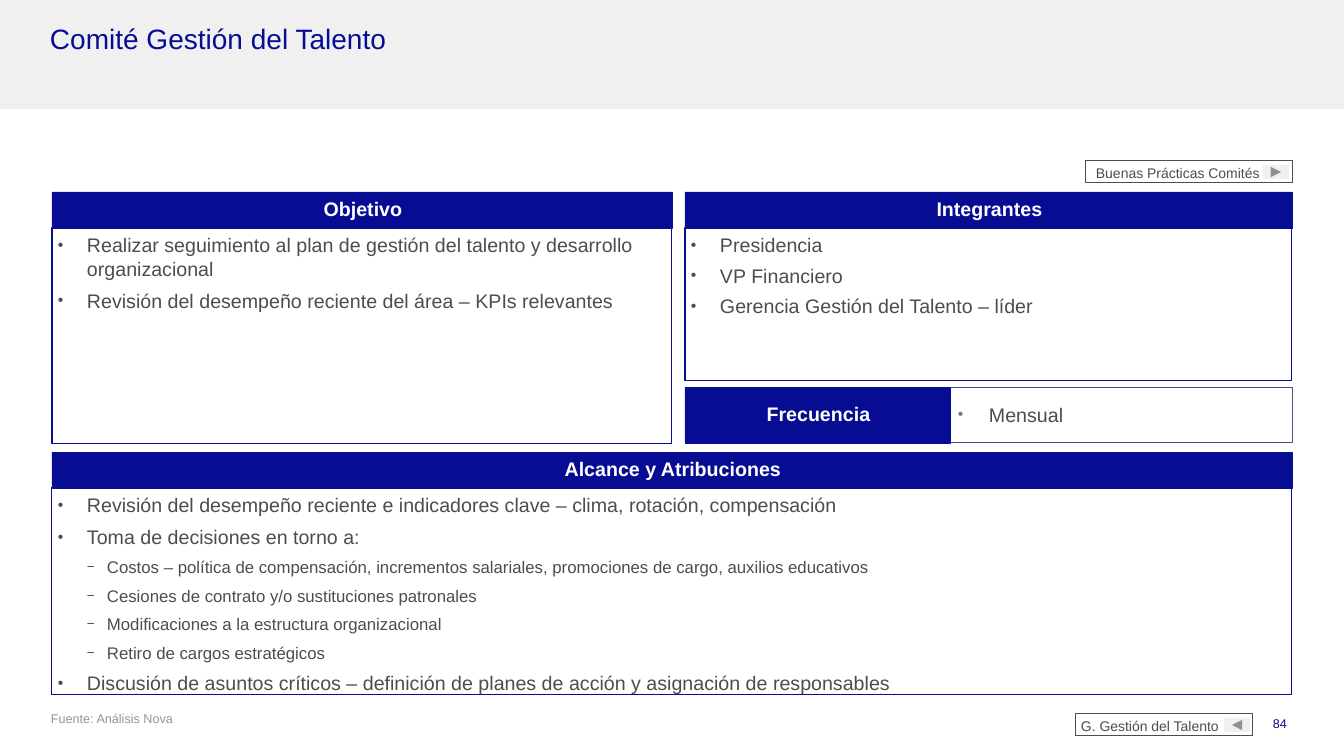
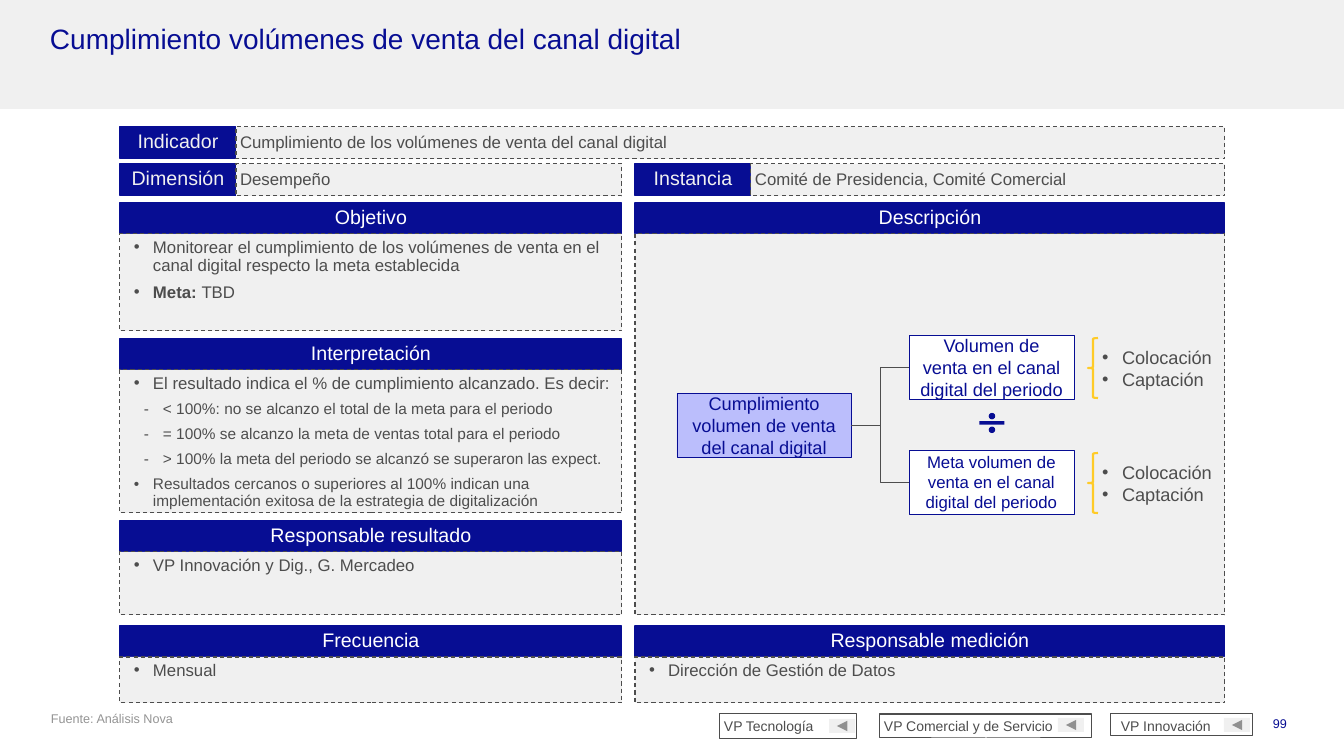
from lxml import etree
from pptx import Presentation
from pptx.dml.color import RGBColor
from pptx.enum.dml import MSO_LINE
from pptx.enum.shapes import MSO_CONNECTOR, MSO_SHAPE
from pptx.enum.text import MSO_ANCHOR, PP_ALIGN
from pptx.oxml.ns import qn
from pptx.util import Emu, Pt

RECT, BRACE, DIVIDE = MSO_SHAPE.RECTANGLE, MSO_SHAPE.RIGHT_BRACE, MSO_SHAPE.MATH_DIVIDE
NEXT = MSO_SHAPE.ACTION_BUTTON_FORWARD_OR_NEXT
ELBOW, DASH = MSO_CONNECTOR.ELBOW, MSO_LINE.DASH
TOP, MIDDLE = MSO_ANCHOR.TOP, MSO_ANCHOR.MIDDLE
CENTER, RIGHT = PP_ALIGN.CENTER, PP_ALIGN.RIGHT
PX = 914400 / 100.8

# Theme: colours, then text styles (sizes, spacing and gaps in points, indents in px)
NAVY, GREY, TEXT, WHITE = "070D93", "F0F0F0", "4D4D4D", "FFFFFF"
MUTED, BULLET, LILAC, YELLOW, SLATE = "949494", "787878", "BBBEFC", "FFCB27", "42508E"
TIGHT = dict(line_spacing=0.9, space_before=Pt(3), space_after=Pt(3))
HEAD = dict(size=14, color=WHITE, para=dict(TIGHT, alignment=CENTER))
ITEM = dict(size=14, color=TEXT, para=dict(space_before=Pt(6)),
            bullet="•", indent=(29, -29), scale=80)
POINT = dict(size=12, color=TEXT, para=TIGHT, bullet="•", indent=(29, -19))
TERM = dict(size=13, color=NAVY, para=dict(alignment=CENTER))
T = dict(
    font="Arial",
    title=dict(size=20, color=NAVY, para=TIGHT),
    number=dict(size=9, color=NAVY, para=dict(alignment=RIGHT)),
    source=dict(size=9, color=MUTED),
    nav=dict(size=10, color=TEXT, para=TIGHT),
    bold_head=dict(HEAD, bold=True, para=dict(line_spacing=0.9, alignment=CENTER)),
    head=HEAD,
    label=dict(HEAD, color=GREY),
    value=dict(size=12, color=TEXT, para=TIGHT),
    item=ITEM,
    close_item=dict(ITEM, para=dict(space_before=Pt(5))),
    sub_item=dict(ITEM, size=12, bullet="−", indent=(49, -20)),
    frequency=dict(ITEM, para=dict(space_before=Pt(1)), indent=(31, -31), bullet_color=BULLET),
    point=POINT,
    small_point=dict(POINT, size=11),
    sub_point=dict(POINT, size=11, bullet="-", indent=(39, -19)),
    term=TERM,
    small_term=dict(TERM, size=12),
    factor=dict(size=13, color=TEXT, bullet="•", indent=(20, -20)),
)


def write(sp, paras, anchor=TOP, ins=(10, 5, 10, 5)):
    """Fill a shape with (style, text) paragraphs; **marks** set bold runs."""
    tf = sp.text_frame
    tf.word_wrap, tf.vertical_anchor = True, anchor
    for side, gap in zip(("left", "top", "right", "bottom"), ins):
        setattr(tf, "margin_" + side, Emu(round(gap * PX)))
    for i, (name, text) in enumerate(paras):
        style = T[name]
        p = tf.add_paragraph() if i else tf.paragraphs[0]
        for key, value in {"alignment": PP_ALIGN.LEFT, **style.get("para", {})}.items():
            setattr(p, key, value)
        for n, part in enumerate(text.split("**")):
            if not part:
                continue
            r = p.add_run()
            r.text = part
            for key, value in dict(name=T["font"], size=Pt(style["size"]),
                                   bold=style.get("bold", n % 2 == 1)).items():
                setattr(r.font, key, value)
            r.font.color.rgb = RGBColor.from_string(style["color"])
        if "bullet" in style:
            pPr = p._p.get_or_add_pPr()
            for key, gap in zip(("marL", "indent"), style["indent"]):
                pPr.set(key, str(round(gap * PX)))
            clr = etree.SubElement(pPr, qn("a:buClr"))
            etree.SubElement(clr, qn("a:srgbClr")).set("val", style.get("bullet_color", TEXT))
            for tag, key, value in (("a:buSzPct", "val", str(style.get("scale", 100) * 1000)),
                                    ("a:buFont", "typeface", T["font"]),
                                    ("a:buChar", "char", style["bullet"])):
                etree.SubElement(pPr, qn(tag)).set(key, value)


def box(s, at, fill=None, line=None, width=0.75, dash=None, kind=RECT, rotation=0):
    """Add a preset shape at (left, top, width, height) in px."""
    sp = s.shapes.add_shape(kind, *(Emu(round(v * PX)) for v in at))
    sp.shadow.inherit = False
    sp.rotation = rotation
    if fill:
        sp.fill.solid()
        sp.fill.fore_color.rgb = RGBColor.from_string(fill)
    else:
        sp.fill.background()
    if line:
        sp.line.color.rgb = RGBColor.from_string(line)
        sp.line.width = Pt(width)
        if dash:
            sp.line.dash_style = dash
    else:
        sp.line.fill.background()
    return sp


prs = Presentation()
prs.slide_width, prs.slide_height = Emu(round(1344 * PX)), Emu(round(756 * PX))
blank = prs.slide_layouts[6]

# Shared frame: title, source, page number and navigation buttons
# Each button: frame, text inset, arrow left and top, arrow rotation
pages = [
    ("Comité Gestión del Talento", "84", [
        ("G. Gestión del Talento", (1076, 714, 177, 22), 5, (1224, 718), 180),
        ("Buenas Prácticas Comités", (1086, 161, 207, 22), 10, (1263, 165), 0)]),
    ("Cumplimiento volúmenes de venta del canal digital", "99", [
        ("VP Innovación", (1111, 714, 142, 22), 10, (1224, 718), 180),
        ("VP Comercial y de Servicio", (880, 714, 212, 24), 4, (1058, 718), 180),
        ("VP Tecnología", (720, 714, 137, 25), 4, (829, 719), 180)]),
]
slides = []
for title, number, buttons in pages:
    s = prs.slides.add_slide(blank)
    slides.append(s)
    for name, text, at, ins in (
            ("title", title, (46, 20, 1250, 70), (4, 5, 4, 5)),
            ("source", "Fuente: Análisis Nova", (47, 711, 1111, 40), (4, 0, 4, 4)),
            ("number", number, (1185, 711, 112, 40), (10, 5, 10, 5))):
        tb = s.shapes.add_textbox(*(Emu(round(v * PX)) for v in at))
        write(tb, [(name, text)], ins=ins)
    for text, at, left, arrow, turn in buttons:
        write(box(s, at, line=TEXT), [("nav", text)], ins=(left, 5, 0, 5))
        box(s, (*arrow, 26, 14), GREY, kind=NEXT, rotation=turn)

# The title band belongs to the layout
band = box(slides[0], (0, 0, 1344, 109), GREY)
blank.shapes.element.append(band._element)

# Slide 1: committee panels, each a header over a body
s = slides[0]
HEAD_H = 36
panels = [
    ("Objetivo", 52, 192, 620, 216, [
        ("item", "Realizar seguimiento al plan de gestión del talento y desarrollo organizacional"),
        ("item", "Revisión del desempeño reciente del área – KPIs relevantes")]),
    ("Integrantes", 685, 192, 607, 153, [
        ("close_item", "Presidencia"),
        ("close_item", "VP Financiero"),
        ("close_item", "Gerencia Gestión del Talento – líder")]),
    ("Alcance y Atribuciones", 52, 452, 1240, 207, [
        ("item", "Revisión del desempeño reciente e indicadores clave – clima, rotación, compensación"),
        ("item", "Toma de decisiones en torno a:"),
        ("sub_item", "Costos – política de compensación, incrementos salariales, "
                     "promociones de cargo, auxilios educativos"),
        ("sub_item", "Cesiones de contrato y/o sustituciones patronales"),
        ("sub_item", "Modificaciones a la estructura organizacional"),
        ("sub_item", "Retiro de cargos estratégicos"),
        ("item", "Discusión de asuntos críticos – definición de planes de acción "
                 "y asignación de responsables")]),
]
for head, x, y, w, h, paras in panels:
    write(box(s, (x, y, w, HEAD_H), NAVY, NAVY, 0.5), [("bold_head", head)], MIDDLE, (2, 1, 0, 1))
    write(box(s, (x, y + HEAD_H, w, h), line=NAVY), paras, ins=(6, 5, 6, 5))

# Slide 1: frequency row
write(box(s, (950, 387, 342, 55), WHITE, SLATE, 0.5), [("frequency", "Mensual")],
      MIDDLE, (8, 4, 8, 4))
write(box(s, (685, 387, 265, 56), NAVY, NAVY, 0.5), [("bold_head", "Frecuencia")],
      MIDDLE, (2, 1, 0, 1))

# Slide 2: label and value rows
s = slides[1]
LEFT_X, LEFT_W, RIGHT_X, RIGHT_W = 120, 502, 635, 590
ROW_H, LABEL_W, INS = 32, 116, (4, 5, 4, 5)
for label, value, x, y, w in (
        ("Indicador", "Cumplimiento de los volúmenes de venta del canal digital",
         LEFT_X, 127, RIGHT_X + RIGHT_W - LEFT_X),
        ("Dimensión", "Desempeño", LEFT_X, 164, LEFT_W),
        ("Instancia", "Comité de Presidencia, Comité Comercial", RIGHT_X, 164, RIGHT_W)):
    write(box(s, (x, y, LABEL_W, ROW_H), NAVY, NAVY), [("label", label)], ins=INS)
    write(box(s, (x + LABEL_W, y, w - LABEL_W, ROW_H), GREY, TEXT, dash=DASH),
          [("value", value)], MIDDLE, INS)

# Slide 2: indicator cards
CARD_HEAD_H = 31
cards = [
    ("Objetivo", LEFT_X, 203, LEFT_W, 97, [
        ("point", "Monitorear el cumplimiento de los volúmenes de venta en el canal digital "
                  "respecto la meta establecida"),
        ("point", "**Meta: **TBD")]),
    ("Interpretación", LEFT_X, 339, LEFT_W, 143, [
        ("point", "El resultado indica el % de cumplimiento alcanzado. Es decir:"),
        ("sub_point", "< 100%: no se alcanzo el total de la meta para el periodo"),
        ("sub_point", "= 100% se alcanzo la meta de ventas total para el periodo"),
        ("sub_point", "> 100% la meta del periodo se alcanzó se superaron las expect."),
        ("small_point", "Resultados cercanos o superiores al 100% indican una implementación "
                        "exitosa de la estrategia de digitalización")]),
    ("Responsable resultado", LEFT_X, 521, LEFT_W, 63, [
        ("point", "VP Innovación y Dig., G. Mercadeo")]),
    ("Frecuencia", LEFT_X, 626, LEFT_W, 46, [("point", "Mensual")]),
    ("Descripción", RIGHT_X, 203, RIGHT_W, 381, []),
    ("Responsable medición", RIGHT_X, 626, RIGHT_W, 46, [
        ("point", "Dirección de Gestión de Datos")]),
]
for head, x, y, w, h, paras in cards:
    write(box(s, (x, y, w, CARD_HEAD_H), NAVY, NAVY), [("head", head)], ins=INS)
    write(box(s, (x, y + CARD_HEAD_H, w, h), GREY, TEXT, dash=DASH), paras, ins=INS)

# Slide 2: formula tree
result = box(s, (677, 393, 174, 64), LILAC, NAVY, 0.5)
write(result, [("term", "Cumplimiento volumen de venta del canal digital")], MIDDLE)
for style, text, y in (
        ("term", "Volumen de venta en el canal digital del periodo", 335),
        ("small_term", "Meta volumen de venta en el canal digital del periodo", 450)):
    term = box(s, (909, y, 165, 64), WHITE, NAVY, 0.5)
    write(term, [(style, text)], MIDDLE)
    link = s.shapes.add_connector(ELBOW, 0, 0, 0, 0)
    link.begin_connect(result, 3)
    link.end_connect(term, 1)
    link.line.color.rgb = RGBColor.from_string(TEXT)
    link.line.width = Pt(0.5)
    etree.SubElement(link._element.spPr, qn("a:effectLst"))
    box(s, (1088, y + 3, 10, 60), line=YELLOW, width=1.5, kind=BRACE, rotation=180)
    tb = s.shapes.add_textbox(*(Emu(round(v * PX)) for v in (1092, y - 2, 143, 70)))
    write(tb, [("factor", "Colocación"), ("factor", "Captación")], MIDDLE)

divide = box(s, (975, 405, 34, 36), NAVY, kind=DIVIDE)
for i, value in enumerate((0.1, 0.05, 0.09)):
    divide.adjustments[i] = value

prs.save("out.pptx")
